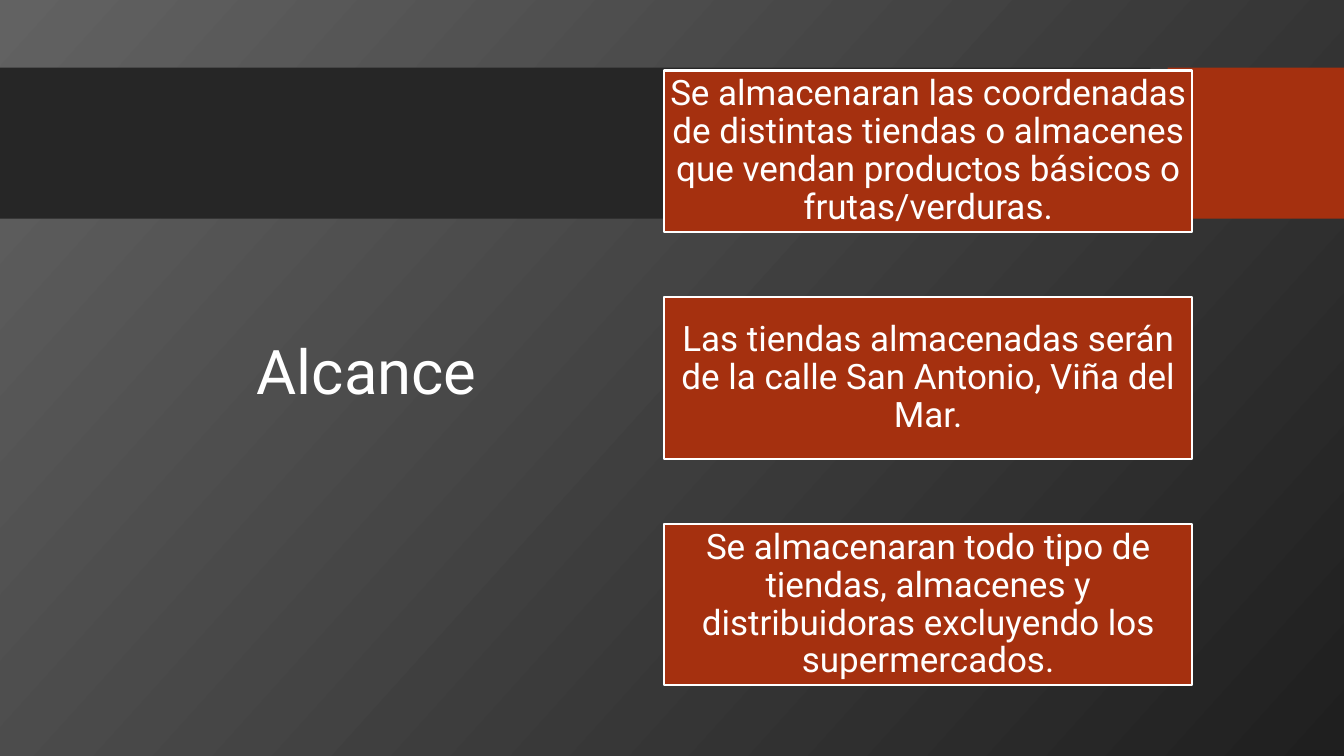
from pptx import Presentation
from pptx.dml.color import RGBColor
from pptx.enum.shapes import MSO_SHAPE
from pptx.enum.text import MSO_ANCHOR, MSO_AUTO_SIZE, PP_ALIGN
from pptx.util import Inches, Pt

COLORS = {
    "light": "626262",
    "dark": "1F1F1F",
    "band": "262626",
    "rust": "A5300F",
    "white": "FFFFFF",
}
SCOPE = [
    "Se almacenaran las coordenadas de distintas tiendas o almacenes que vendan productos básicos o frutas/verduras.",
    "Las tiendas almacenadas serán de la calle San Antonio, Viña del Mar.",
    "Se almacenaran todo tipo de tiendas, almacenes y distribuidoras excluyendo los supermercados.",
]


def rgb(name):
    return RGBColor.from_string(COLORS[name])


def write(shape, text, size, align, margin):
    """Put one white, vertically centred paragraph in the shape."""
    frame = shape.text_frame
    frame.text = text
    frame_format = {
        "word_wrap": True,
        "auto_size": MSO_AUTO_SIZE.NONE,
        "vertical_anchor": MSO_ANCHOR.MIDDLE,
        "margin_left": margin,
        "margin_right": margin,
        "margin_top": margin,
        "margin_bottom": margin,
    }
    for attribute, value in frame_format.items():
        setattr(frame, attribute, value)
    paragraph = frame.paragraphs[0]
    paragraph.alignment = align
    paragraph.line_spacing = 0.9
    paragraph.font.name = "Roboto"
    paragraph.font.size = Pt(size)
    paragraph.font.color.rgb = rgb("white")


presentation = Presentation()
presentation.slide_width = Inches(13.33)
presentation.slide_height = Inches(7.5)
slide = presentation.slides.add_slide(presentation.slide_layouts[5])

backdrop = slide.background.fill
backdrop.gradient()
backdrop.gradient_angle = 318
for stop, shade in zip(backdrop.gradient_stops, ("light", "dark")):
    stop.color.rgb = rgb(shade)

for left, width, color in ((0, 11.41, "band"), (11.58, 1.75, "rust")):
    band = slide.shapes.add_shape(
        MSO_SHAPE.RECTANGLE, Inches(left), Inches(0.67), Inches(width), Inches(1.5))
    band.shadow.inherit = False
    band.fill.solid()
    band.fill.fore_color.rgb = rgb(color)
    band.line.fill.background()

title = slide.shapes.title
title.left, title.top = Inches(0.74), Inches(2.26)
title.width, title.height = Inches(4.09), Inches(2.91)
write(title, "Alcance", 44, PP_ALIGN.RIGHT, Inches(0.1))

for row, statement in enumerate(SCOPE):
    card = slide.shapes.add_shape(
        MSO_SHAPE.RECTANGLE, Inches(6.59), Inches(0.7 + 2.25 * row), Inches(5.23), Inches(1.6))
    card.shadow.inherit = False
    card.fill.solid()
    card.fill.fore_color.rgb = rgb("rust")
    card.line.color.rgb = rgb("white")
    card.line.width = Pt(1.5)
    write(card, statement, 25, PP_ALIGN.CENTER, Inches(0.02))

presentation.save("out.pptx")
